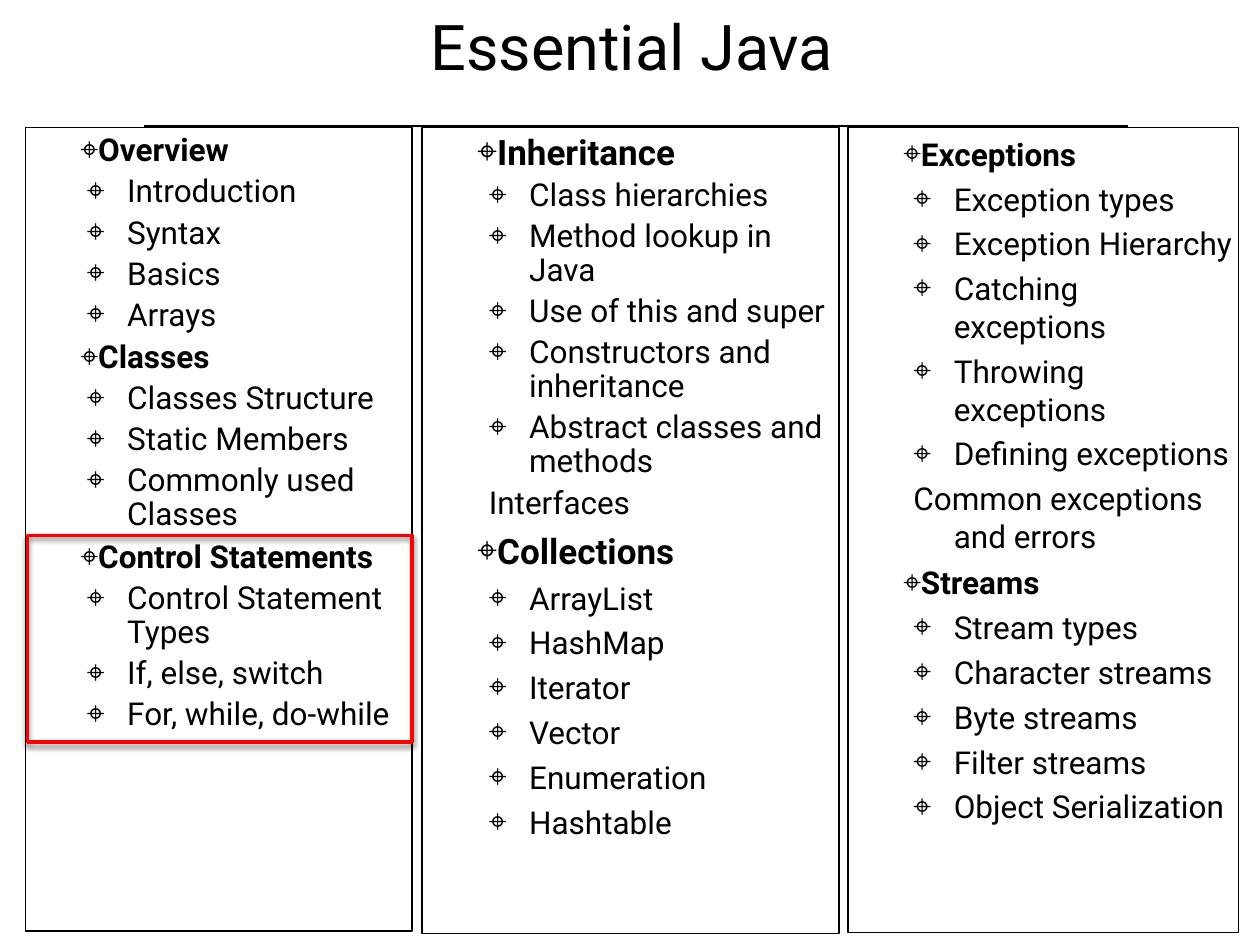
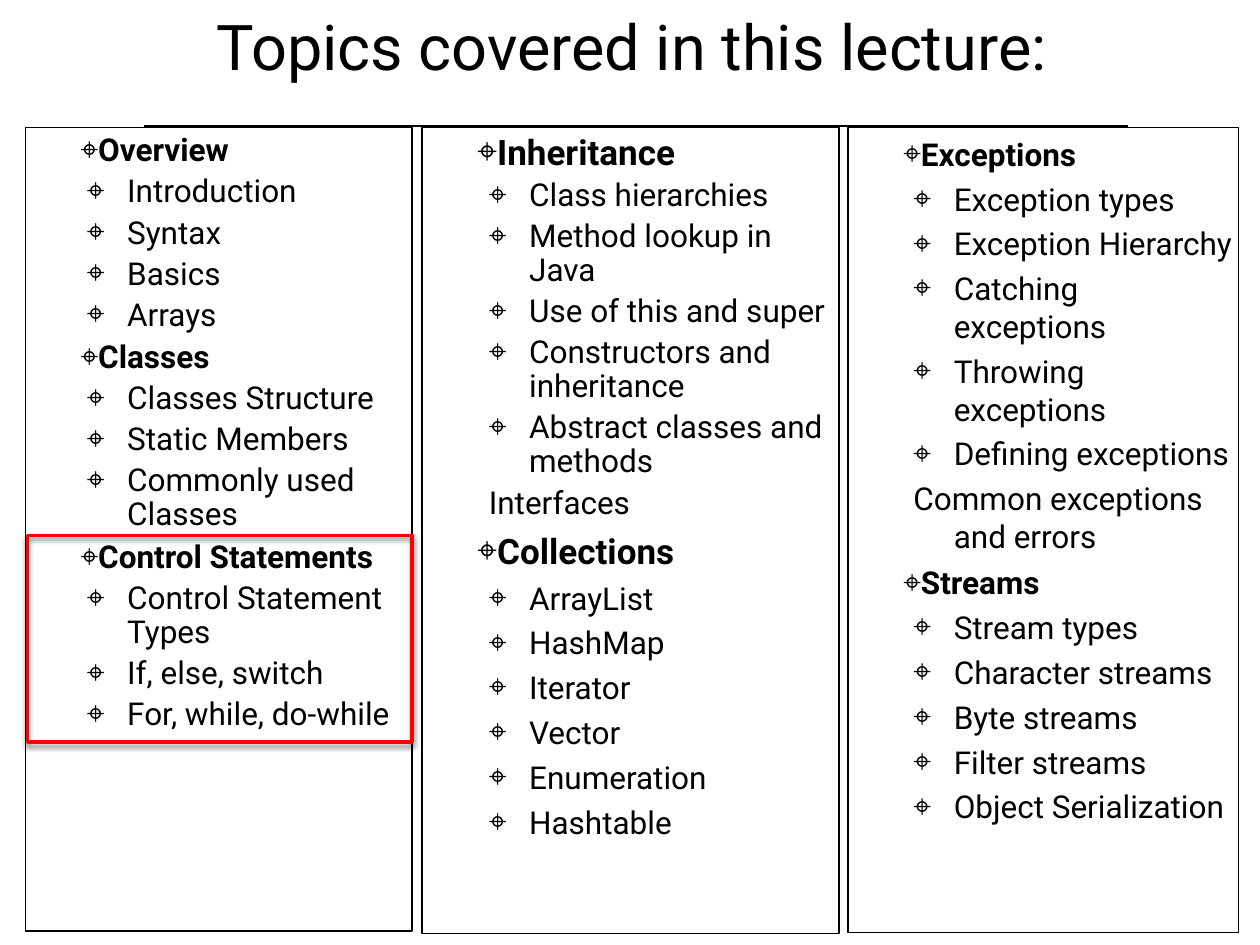
from dataclasses import dataclass
from lxml import etree
from pptx import Presentation
from pptx.dml.color import RGBColor
from pptx.enum.shapes import MSO_CONNECTOR, MSO_SHAPE
from pptx.enum.text import MSO_ANCHOR, PP_ALIGN
from pptx.oxml.ns import qn
from pptx.util import Inches, Pt

STRAIGHT = MSO_CONNECTOR.STRAIGHT
RECTANGLE = MSO_SHAPE.RECTANGLE
MIDDLE = MSO_ANCHOR.MIDDLE
CENTER = PP_ALIGN.CENTER


@dataclass(frozen=True)
class Theme:
    font: str = "Roboto"
    ink: RGBColor = RGBColor(0, 0, 0)
    highlight: RGBColor = RGBColor(255, 0, 0)
    title_size: int = 36
    text_size: int = 18
    large_heading_size: int = 20
    thin_line: float = 0.75
    highlight_line: float = 2
    inset: float = 0.06
    bullet: str = "⌖"


theme = Theme()
COLUMN_TOP = 1.01
HEADING_INDENT = 0.38
ITEM_HANGING = -0.32
TITLE_MARGIN = 0.04
TITLES = ["Essential Java", "Topics covered in this lecture:"]
UNBULLETED = {"Interfaces", "Common exceptions and errors"}

# Column: left, panel size, text size, item margin, heading size, sections
# Section: heading, line spacing, items
COLUMNS = [
    (0.2, (3.07, 6.38), (3.07, 5.86), 0.75, theme.text_size, [
        ("Overview", 0.9, ["Introduction", "Syntax", "Basics", "Arrays"]),
        ("Classes", 0.9, ["Classes Structure", "Static Members", "Commonly used Classes"]),
        ("Control Statements", 0.9,
         ["Control Statement Types", "If, else, switch", "For, while, do-while"]),
    ]),
    (3.35, (3.31, 6.4), (3.3, 6.49), 0.79, theme.large_heading_size, [
        ("Inheritance", 0.9,
         ["Class hierarchies", "Method lookup in Java", "Use of this and super",
          "Constructors and inheritance", "Abstract classes and methods", "Interfaces"]),
        ("Collections", 1.0,
         ["ArrayList", "HashMap", "Iterator", "Vector", "Enumeration", "Hashtable"]),
    ]),
    (6.73, (3.1, 6.39), (3.12, 7.01), 0.78, theme.text_size, [
        ("Exceptions", 1.0,
         ["Exception types", "Exception Hierarchy", "Catching exceptions",
          "Throwing exceptions", "Defining exceptions", "Common exceptions and errors"]),
        ("Streams", 1.0,
         ["Stream types", "Character streams", "Byte streams", "Filter streams",
          "Object Serialization"]),
    ]),
]


def add_outline(shapes, left, top, width, height, color, line_width):
    """Add an unfilled rectangle without a shadow."""
    outline = shapes.add_shape(
        RECTANGLE, Inches(left), Inches(top), Inches(width), Inches(height))
    outline.shadow.inherit = False
    outline.fill.background()
    outline.line.color.rgb = color
    outline.line.width = Pt(line_width)
    return outline


def add_text(frame, paragraph, text, size, bold=False):
    """Add one run and give its frame the shared wrapping and insets."""
    frame.word_wrap = True
    frame.margin_left = frame.margin_right = Inches(theme.inset)
    frame.margin_top = frame.margin_bottom = Inches(theme.inset)
    run = paragraph.add_run()
    run.text = text
    run.font.name = theme.font
    run.font.size = Pt(size)
    run.font.bold = bold
    run.font.color.rgb = theme.ink


presentation = Presentation()
presentation.slide_width = Inches(10)
presentation.slide_height = Inches(7.5)
title_only = presentation.slide_layouts[5]

for title_text in TITLES:
    slide = presentation.slides.add_slide(title_only)
    title = slide.shapes.title
    title.left, title.top = Inches(0.49), Inches(0)
    title.width, title.height = Inches(9.01), Inches(0.72)
    title.text_frame.vertical_anchor = MIDDLE
    paragraph = title.text_frame.paragraphs[0]
    paragraph.alignment = CENTER
    paragraph._p.get_or_add_pPr().set("marL", str(Inches(TITLE_MARGIN)))
    add_text(title.text_frame, paragraph, title_text, theme.title_size)

    title_rule = slide.shapes.add_connector(
        STRAIGHT, Inches(1.14), Inches(1), Inches(8.95), Inches(1))
    title_rule.line.color.rgb = theme.ink
    title_rule.line.width = Pt(theme.thin_line)
    etree.SubElement(title_rule._element.spPr, qn("a:effectLst"))

    for left, panel_size, text_size, item_margin, heading_size, sections in COLUMNS:
        column = slide.shapes.add_group_shape()
        add_outline(column.shapes, left, COLUMN_TOP, *panel_size, theme.ink, theme.thin_line)
        width, height = text_size
        text_box = column.shapes.add_textbox(
            Inches(left), Inches(COLUMN_TOP), Inches(width), Inches(height))
        frame = text_box.text_frame
        paragraph = frame.paragraphs[0]

        for heading, line_spacing, items in sections:
            for position, text in enumerate([heading, *items]):
                is_heading = position == 0
                is_first = heading == sections[0][0] and is_heading
                if not is_first:
                    paragraph = frame.add_paragraph()
                properties = paragraph._p.get_or_add_pPr()
                margin, indent = (0, HEADING_INDENT) if is_heading else (item_margin, ITEM_HANGING)
                properties.set("marL", str(Inches(margin)))
                properties.set("indent", str(Inches(indent)))
                if text not in UNBULLETED:
                    bullet_color = etree.SubElement(properties, qn("a:buClr"))
                    etree.SubElement(bullet_color, qn("a:srgbClr"), val=str(theme.ink))
                    etree.SubElement(properties, qn("a:buFont"), typeface=theme.font)
                    etree.SubElement(properties, qn("a:buChar"), char=theme.bullet)
                paragraph.line_spacing = line_spacing
                if not is_first:
                    paragraph.space_before = Pt(5 if is_heading else 4)
                size = heading_size if is_heading else theme.text_size
                add_text(frame, paragraph, text, size, bold=is_heading)

    current_topic = add_outline(
        slide.shapes, 0.22, 4.25, 3.05, 1.64, theme.highlight, theme.highlight_line)
    effects = current_topic._element.spPr.find(qn("a:effectLst"))
    shadow = etree.SubElement(
        effects, qn("a:outerShdw"), blurRad=str(Pt(3)), dist=str(Pt(2)),
        dir=str(90 * 60000), rotWithShape="0")
    shadow_color = etree.SubElement(shadow, qn("a:srgbClr"), val=str(theme.ink))
    etree.SubElement(shadow_color, qn("a:alpha"), val="50000")

presentation.save("out.pptx")
